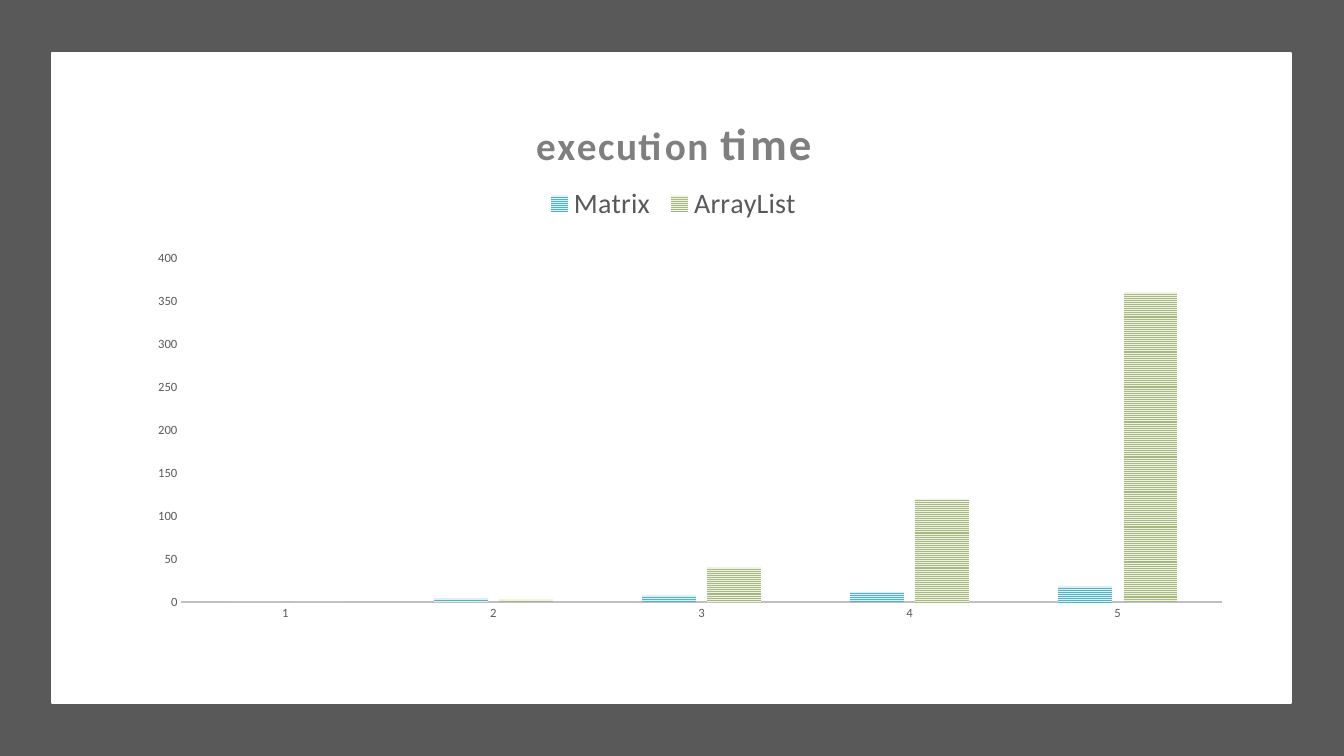
from lxml import etree
from pptx import Presentation
from pptx.chart.data import CategoryChartData
from pptx.dml.color import RGBColor
from pptx.enum.chart import XL_CHART_TYPE, XL_LEGEND_POSITION, XL_TICK_MARK
from pptx.enum.dml import MSO_PATTERN
from pptx.enum.shapes import MSO_SHAPE
from pptx.oxml.ns import qn
from pptx.util import Emu, Pt

WIDTH, HEIGHT = 1344, 756
EMU_PER_PIXEL = 914400 / 100.8
WHITE = RGBColor(0xFF, 0xFF, 0xFF)
DARK_GREY = RGBColor(0x59, 0x59, 0x59)
TITLE_GREY = RGBColor(0x7F, 0x7F, 0x7F)
AXIS_GREY = RGBColor(0xBF, 0xBF, 0xBF)
BLUE, PALE_BLUE = RGBColor(0x50, 0xB4, 0xC8), RGBColor(0xDC, 0xF0, 0xF4)
GREEN, PALE_GREEN = RGBColor(0xA8, 0xB9, 0x7F), RGBColor(0xEE, 0xF1, 0xE5)


def px(pixels):
    """Turn pixels into EMU."""
    return Emu(round(pixels * EMU_PER_PIXEL))


def place(element, index, inner=False, **fractions):
    """Give a chart part a manual layout in fractions of the chart."""
    for old in element.findall(qn("c:layout")):
        element.remove(old)
    layout = etree.Element(qn("c:layout"))
    manual = etree.SubElement(layout, qn("c:manualLayout"))
    settings = {"layoutTarget": "inner"} if inner else {}
    settings.update(xMode="edge", yMode="edge", **fractions)
    for name, value in settings.items():
        etree.SubElement(manual, qn("c:" + name)).set("val", str(value))
    element.insert(index, layout)


class SlideBuilder:
    """Holds the style and the current slide."""

    font_name = "Calibri"

    def __init__(self, slide):
        self.slide = slide

    def style_font(self, font, size, color=DARK_GREY, bold=False):
        """Apply the slide's typeface with a size and colour."""
        font.name, font.size, font.bold = self.font_name, Pt(size), bold
        font.color.rgb = color

    def panel(self, left, top, width, height, fill, line=None):
        """Add a plain rectangle."""
        shape = self.slide.shapes.add_shape(
            MSO_SHAPE.RECTANGLE, px(left), px(top), px(width), px(height))
        shape.shadow.inherit = False
        shape.fill.solid()
        shape.fill.fore_color.rgb = fill
        if line is None:
            shape.line.fill.background()
        else:
            shape.line.color.rgb = line
            shape.line.width = Pt(1)

    def column_chart(self, left, top, width, height, categories, series):
        """Add a clustered column chart with striped columns."""
        data = CategoryChartData()
        data.categories = categories
        for name, values, _, _ in series:
            data.add_series(name, values)
        chart = self.slide.shapes.add_chart(
            XL_CHART_TYPE.COLUMN_CLUSTERED,
            px(left), px(top), px(width), px(height), data).chart
        self.style_font(chart.font, 10)
        plot = chart.plots[0]
        plot.gap_width, plot.overlap, plot.vary_by_categories = 164, -22, False
        for column, (_, _, stripe, back) in zip(plot.series, series):
            fill = column.format.fill
            fill.patterned()
            fill.pattern = MSO_PATTERN.NARROW_HORIZONTAL
            fill.fore_color.rgb, fill.back_color.rgb = stripe, back
            column.invert_if_negative = False
        place(chart.element.find(".//" + qn("c:plotArea")), 0, inner=True,
              x=0.079, y=0.291, w=0.89, h=0.592)
        return chart

    def axes(self, chart, maximum, step):
        """Style both axes and set the value scale."""
        for axis in (chart.category_axis, chart.value_axis):
            axis.major_tick_mark = axis.minor_tick_mark = XL_TICK_MARK.NONE
            axis.has_major_gridlines = False
            self.style_font(axis.tick_labels.font, 9)
        base_line = chart.category_axis.format.line
        base_line.color.rgb, base_line.width = AXIS_GREY, Pt(1.5)
        values = chart.value_axis
        values.format.line.fill.background()
        values.minimum_scale, values.maximum_scale = 0, maximum
        values.major_unit = step

    def title(self, chart, words):
        """Add a chart title from pairs of text and size."""
        chart.has_title = True
        title = chart.chart_title
        title.include_in_layout = False
        paragraph = title.text_frame.paragraphs[0]
        for text, size in words:
            run = paragraph.add_run()
            run.text = text
            self.style_font(run.font, size, TITLE_GREY, bold=True)
            run.font._element.set("spc", "120")
        place(chart.element.find(".//" + qn("c:title")), 1, x=0.38, y=0.04)

    def legend(self, chart):
        """Add a legend between the title and the columns."""
        chart.has_legend = True
        legend = chart.legend
        legend.position = XL_LEGEND_POSITION.TOP
        legend.include_in_layout = False
        self.style_font(legend.font, 20)
        place(chart.element.find(".//" + qn("c:legend")), 1,
              x=0.385, y=0.16, w=0.23, h=0.075)


def main():
    """Build and save the slide."""
    deck = Presentation()
    deck.slide_width, deck.slide_height = px(WIDTH), px(HEIGHT)
    builder = SlideBuilder(deck.slides.add_slide(deck.slide_layouts[6]))
    builder.panel(0, 0, WIDTH, HEIGHT, DARK_GREY)
    builder.panel(52, 53, 1239, 650, WHITE, line=WHITE)
    chart = builder.column_chart(
        89, 89, 1169, 581, ["1", "2", "3", "4", "5"],
        [("Matrix", (0, 4, 8, 12, 18), BLUE, PALE_BLUE),
         ("ArrayList", (0, 3, 40, 120, 360), GREEN, PALE_GREEN)])
    builder.axes(chart, maximum=400, step=50)
    builder.title(chart, [("execution ", 28), ("time", 32)])
    builder.legend(chart)
    deck.save("out.pptx")


main()
